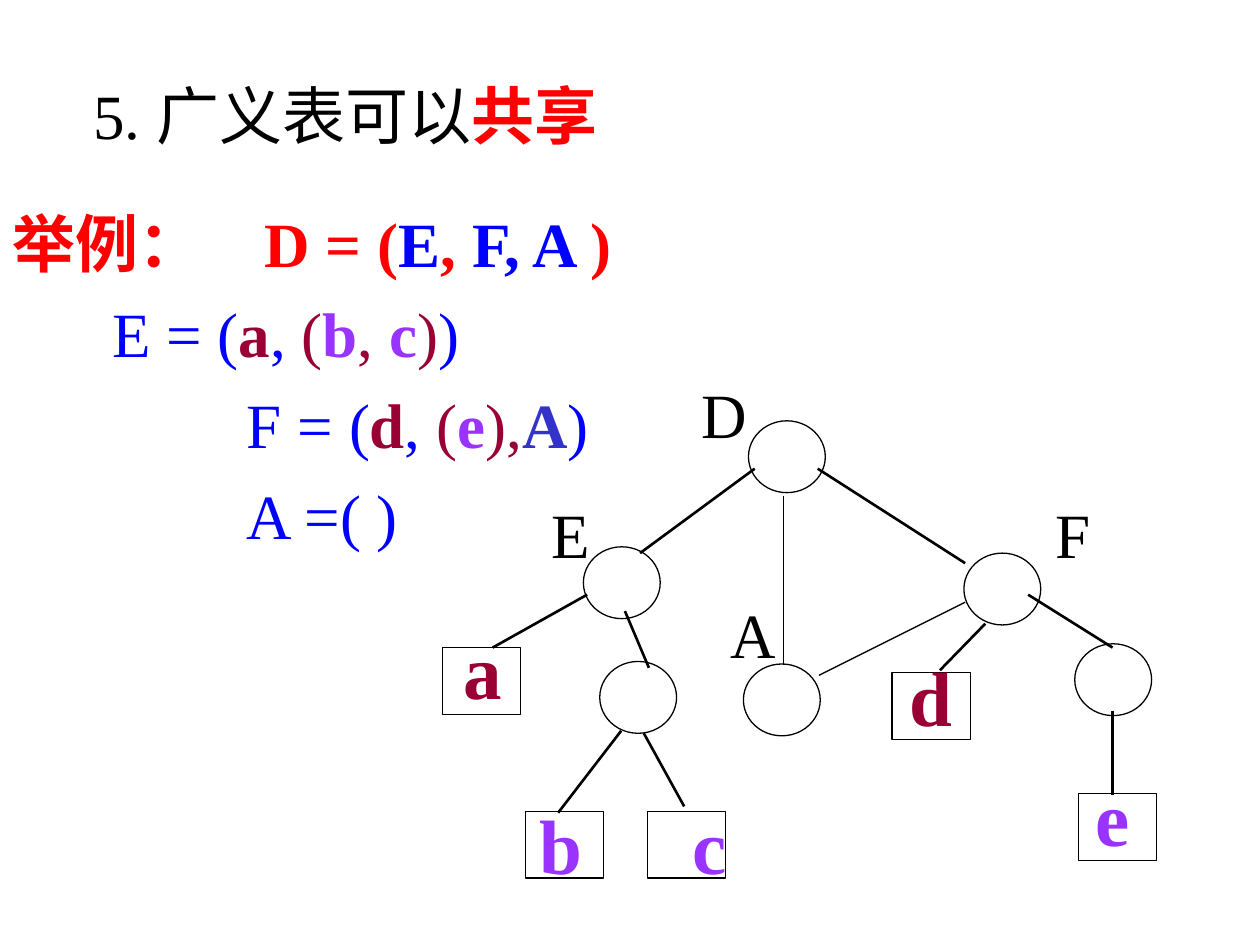
"""Build a slide on shared generalized lists with a tree diagram."""
import pptx
import pptx.dml.color
import pptx.enum.shapes
import pptx.enum.text
import pptx.oxml.ns
import pptx.util
from lxml import etree
from pptx.util import Inches

BLACK, RED, BLUE = "000000", "FF0000", "0000FF"
MAROON, PURPLE, INDIGO = "990033", "9933FF", "3333CC"
SHAPES = pptx.enum.shapes.MSO_SHAPE
qn = pptx.oxml.ns.qn


def color(value):
    """Turn a hex string into a colour."""
    return pptx.dml.color.RGBColor.from_string(value)


def write(paragraph, pieces, size, tab=None, indent=0):
    """Fill a left-aligned paragraph with (text, colour, bold) pieces."""
    paragraph.alignment = pptx.enum.text.PP_ALIGN.LEFT
    paragraph.space_before = pptx.util.Pt(0)
    properties = paragraph._p.get_or_add_pPr()
    properties.set("marL", str(Inches(indent)))
    properties.set("indent", "0")
    etree.SubElement(properties, qn("a:buNone"))
    if tab:
        stops = etree.SubElement(properties, qn("a:tabLst"))
        etree.SubElement(stops, qn("a:tab"), pos=str(Inches(tab)), algn="l")
    for text, ink, bold in pieces:
        run = paragraph.add_run()
        run.text = text
        run.font.size = pptx.util.Pt(size)
        run.font.name = "Times New Roman"
        run.font.bold = bold
        run.font.color.rgb = color(ink)
        east_asian = etree.Element(qn("a:ea"), typeface="Noto Sans CJK SC")
        run.font._rPr.find(qn("a:latin")).addnext(east_asian)


presentation = pptx.Presentation()
presentation.slide_width, presentation.slide_height = Inches(10), Inches(7.5)
slide = presentation.slides.add_slide(presentation.slide_layouts[1])
title, body = slide.placeholders
frames = [(title, 0.64, 0.56, 5.49, 0.7), (body, 0, 1.45, 5.27, 2.98)]
for holder, left, top, width, height in frames:
    holder.left, holder.top = Inches(left), Inches(top)
    holder.width, holder.height = Inches(width), Inches(height)
    holder.text_frame.vertical_anchor = pptx.enum.text.MSO_ANCHOR.TOP
    holder.text_frame.auto_size = pptx.enum.text.MSO_AUTO_SIZE.NONE
    holder.text_frame.word_wrap = True
body.fill.solid()
body.fill.fore_color.rgb = color("FFFFFF")

heading = [("5.\t广义表可以", BLACK, False), ("共享", RED, True)]
write(title.text_frame.paragraphs[0], heading, 36, tab=0.74)

definitions = [
    (0, [("举例：\tD = (", RED, True), ("E", BLUE, True), (", ", RED, True),
         ("F, A ", BLUE, True), (")", RED, True)]),
    (0.79, [("E = (", BLUE, False), ("a", MAROON, True), (", ", BLUE, False),
            ("(", MAROON, False), ("b", PURPLE, True), (", ", MAROON, False),
            ("c", PURPLE, True), (")", MAROON, False), (")", BLUE, False)]),
    (1.86, [("F = (", BLUE, False), ("d", MAROON, True), (",", BLUE, False),
            (" (", MAROON, False), ("e", PURPLE, True), ("),", MAROON, False),
            ("A", INDIGO, True), (")", BLUE, False)]),
    (1.86, [("A =( )", BLUE, False)]),
]
for number, (indent, pieces) in enumerate(definitions):
    text_frame = body.text_frame
    paragraph = text_frame.add_paragraph() if number else text_frame.paragraphs[0]
    paragraph.line_spacing = 1.2
    write(paragraph, pieces, 36, tab=None if indent else 1.84, indent=indent)

list_nodes = [(5.94, 3.34), (4.63, 4.34), (4.76, 5.25), (7.65, 4.39), (8.53, 5.11), (5.9, 5.27)]
atom_nodes = [(3.51, 5.14), (4.17, 6.44), (5.14, 6.44), (7.08, 5.34), (8.56, 6.3)]
for kind, width, height, places in [
    (SHAPES.OVAL, 0.61, 0.57, list_nodes),
    (SHAPES.RECTANGLE, 0.62, 0.53, atom_nodes),
]:
    for left, top in places:
        node = slide.shapes.add_shape(kind, Inches(left), Inches(top), Inches(width), Inches(height))
        node.shadow.inherit = False
        node.fill.background()
        node.line.color.rgb = color(BLACK)
        node.line.width = pptx.util.Pt(0.75)

tree_edges = [
    (5.99, 3.72, 5.08, 4.39), (6.49, 3.72, 7.66, 4.47), (4.66, 4.72, 3.91, 5.14),
    (4.96, 4.85, 5.15, 5.3), (7.82, 4.95, 7.46, 5.32), (8.16, 4.72, 8.83, 5.14),
    (8.83, 5.64, 8.83, 6.31), (4.93, 5.8, 4.43, 6.45), (5.11, 5.82, 5.43, 6.4),
]
shared_edges = [(6.22, 3.94, 6.22, 5.28), (7.66, 4.78, 6.5, 5.36)]
for weight, edges in [(1.5, tree_edges), (0.75, shared_edges)]:
    for ends in edges:
        edge = slide.shapes.add_connector(
            pptx.enum.shapes.MSO_CONNECTOR.STRAIGHT, *(Inches(value) for value in ends))
        edge.line.color.rgb = color(BLACK)
        edge.line.width = pptx.util.Pt(weight)
        etree.SubElement(edge._element.spPr, qn("a:effectLst"))

list_labels = [("D", 5.47, 2.93, 1.27), ("E", 4.28, 3.88, 1.27),
               ("F", 8.28, 3.88, 0.89), ("A", 5.7, 4.68, 0.89)]
atom_labels = [("a", 3.58, 4.89, 0.51, MAROON), ("b", 4.18, 6.28, 0.54, PURPLE),
               ("c", 5.4, 6.28, 0.47, PURPLE), ("d", 7.12, 5.11, 0.54, MAROON),
               ("e", 8.6, 6.06, 0.47, PURPLE)]
labels = [(*label, BLACK, 36, 0.7, False) for label in list_labels]
labels += [(*label, 44, 0.83, True) for label in atom_labels]
for text, left, top, width, ink, size, height, bold in labels:
    label = slide.shapes.add_textbox(Inches(left), Inches(top), Inches(width), Inches(height))
    label.text_frame.word_wrap = not bold
    write(label.text_frame.paragraphs[0], [(text, ink, bold)], size)

presentation.save("out.pptx")
